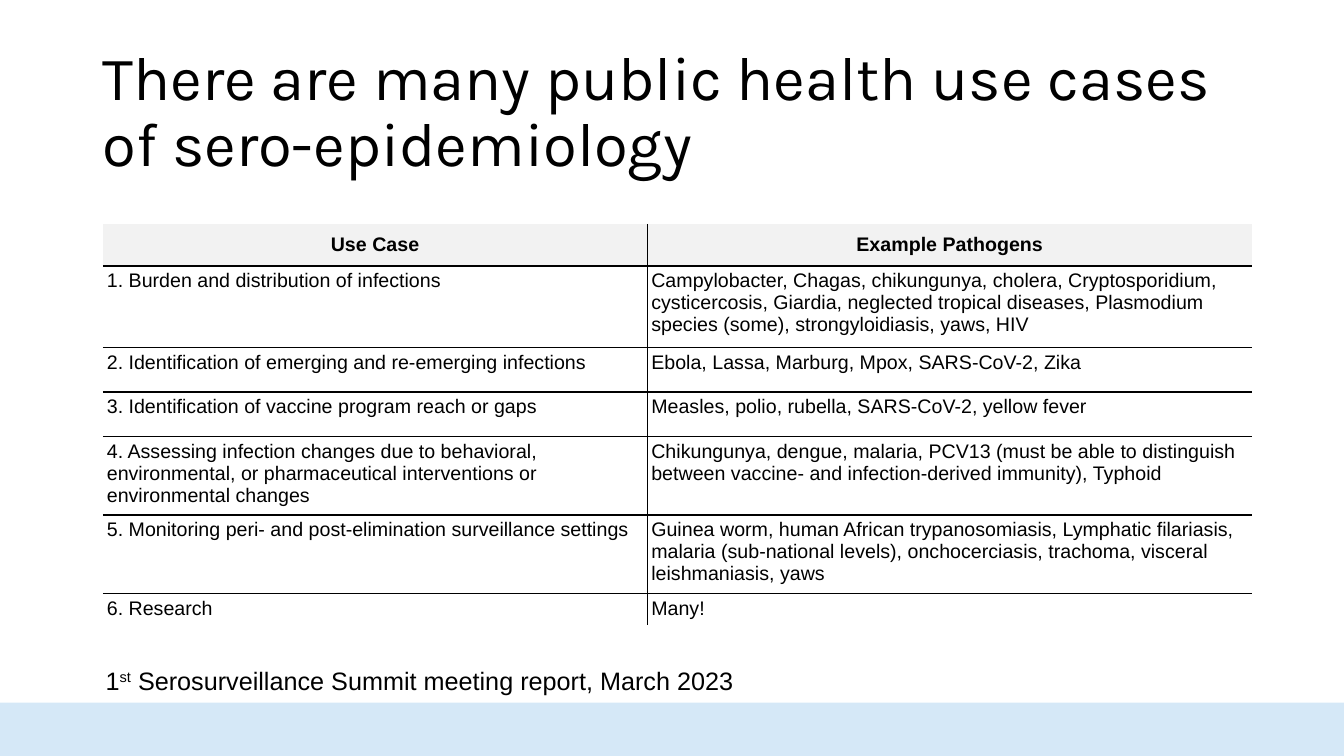
from pptx import Presentation
from pptx.dml.color import RGBColor
from pptx.enum.shapes import MSO_SHAPE
from pptx.enum.text import MSO_ANCHOR, MSO_AUTO_SIZE, PP_ALIGN
from pptx.oxml.ns import qn
from pptx.util import Inches, Pt
from lxml import etree

RECTANGLE = MSO_SHAPE.RECTANGLE
TOP, MIDDLE = MSO_ANCHOR.TOP, MSO_ANCHOR.MIDDLE
LEFT, CENTER = PP_ALIGN.LEFT, PP_ALIGN.CENTER
NO_AUTOFIT = MSO_AUTO_SIZE.NONE

TITLE = "There are many public health use cases of sero-epidemiology"
SOURCE_NOTE = [("1", False), ("st", True), (" Serosurveillance Summit meeting report, March 2023", False)]
USE_CASES = [
    ("Use Case", "Example Pathogens"),
    ("1. Burden and distribution of infections",
     "Campylobacter, Chagas, chikungunya, cholera, Cryptosporidium, cysticercosis, Giardia, "
     "neglected tropical diseases, Plasmodium species (some), strongyloidiasis, yaws, HIV"),
    ("2. Identification of emerging and re-emerging infections",
     "Ebola, Lassa, Marburg, Mpox, SARS-CoV-2, Zika"),
    ("3. Identification of vaccine program reach or gaps",
     "Measles, polio, rubella, SARS-CoV-2, yellow fever"),
    ("4. Assessing infection changes due to behavioral, environmental, or pharmaceutical "
     "interventions or environmental changes",
     "Chikungunya, dengue, malaria, PCV13 (must be able to distinguish between vaccine- and "
     "infection-derived immunity), Typhoid"),
    ("5. Monitoring peri- and post-elimination surveillance settings",
     "Guinea worm, human African trypanosomiasis, Lymphatic filariasis, malaria (sub-national "
     "levels), onchocerciasis, trachoma, visceral leishmaniasis, yaws"),
    ("6. Research", "Many!"),
]
COLUMN_WIDTHS = [5.4, 6]
ROW_HEIGHTS = [0.42, 0.81, 0.44, 0.44, 0.62, 0.62, 0.26]
BLACK, HEADER_GRAY, BAND_BLUE = "000000", "F2F2F2", "66ABE5"


def color(value):
    return RGBColor.from_string(value)


def style(paragraph, font_name, size, bold=False, align=LEFT):
    paragraph.alignment = align
    font = paragraph.font
    font.name, font.size, font.bold = font_name, Pt(size), bold
    font.color.rgb = color(BLACK)


def set_borders(cell, visible):
    properties = cell._tc.get_or_add_tcPr()
    for side in ("lnL", "lnR", "lnT", "lnB"):
        line = etree.SubElement(properties, qn("a:" + side), w=str(Pt(1)))
        if side in visible:
            fill = etree.SubElement(line, qn("a:solidFill"))
            etree.SubElement(fill, qn("a:srgbClr"), val=BLACK)
        else:
            etree.SubElement(line, qn("a:noFill"))


def add_band(slide):
    band = slide.shapes.add_shape(RECTANGLE, Inches(-0.01), Inches(6.97), Inches(13.34), Inches(0.55))
    band.shadow.inherit = False
    band.fill.solid()
    band.fill.fore_color.rgb = color(BAND_BLUE)
    band.line.fill.background()
    tint = band._element.spPr.find(qn("a:solidFill")).find(qn("a:srgbClr"))
    etree.SubElement(tint, qn("a:alpha"), val="27000")


def fill_title(slide):
    title = slide.shapes.title
    title.left, title.top, title.width, title.height = map(Inches, (0.92, 0.4, 11.5, 1.45))
    frame = title.text_frame
    frame.text = TITLE
    frame.word_wrap = True
    frame.auto_size = NO_AUTOFIT
    frame.vertical_anchor = MIDDLE
    style(frame.paragraphs[0], "Karla", 44)
    frame.paragraphs[0].line_spacing = 0.9


def add_source_note(slide):
    note = slide.shapes.add_textbox(Inches(0.95), Inches(6.55), Inches(8.43), Inches(0.4))
    note.text_frame.word_wrap = True
    paragraph = note.text_frame.paragraphs[0]
    style(paragraph, "Arial", 18)
    for text, raised in SOURCE_NOTE:
        run = paragraph.add_run()
        run.text = text
        if raised:
            run._r.get_or_add_rPr().set("baseline", "30000")


def add_use_case_table(slide):
    table = slide.shapes.add_table(
        len(USE_CASES), len(COLUMN_WIDTHS), Inches(1.02), Inches(2.22),
        Inches(sum(COLUMN_WIDTHS)), Inches(sum(ROW_HEIGHTS))).table
    table.first_row = table.horz_banding = False
    for column, width in zip(table.columns, COLUMN_WIDTHS):
        column.width = Inches(width)
    for row, height in zip(table.rows, ROW_HEIGHTS):
        row.height = Inches(height)
    for r, texts in enumerate(USE_CASES):
        header = r == 0
        for c, text in enumerate(texts):
            cell = table.cell(r, c)
            cell.text = text
            style(cell.text_frame.paragraphs[0], "Arial", 14, header, CENTER if header else LEFT)
            cell.vertical_anchor = MIDDLE if header else TOP
            cell.margin_left = cell.margin_right = Inches(0.04)
            cell.margin_top = cell.margin_bottom = Inches(0.02 if header else 0.04)
            visible = ["lnR" if c == 0 else "lnL"]
            if r > 0:
                visible.append("lnT")
            if r < len(USE_CASES) - 1:
                visible.append("lnB")
            set_borders(cell, visible)
            if header:
                cell.fill.solid()
                cell.fill.fore_color.rgb = color(HEADER_GRAY)
            else:
                cell.fill.background()


def main():
    deck = Presentation()
    deck.slide_width, deck.slide_height = Inches(13.33), Inches(7.5)
    slide = deck.slides.add_slide(deck.slide_layouts[5])
    add_band(slide)
    fill_title(slide)
    add_source_note(slide)
    add_use_case_table(slide)
    deck.save("out.pptx")


if __name__ == "__main__":
    main()
